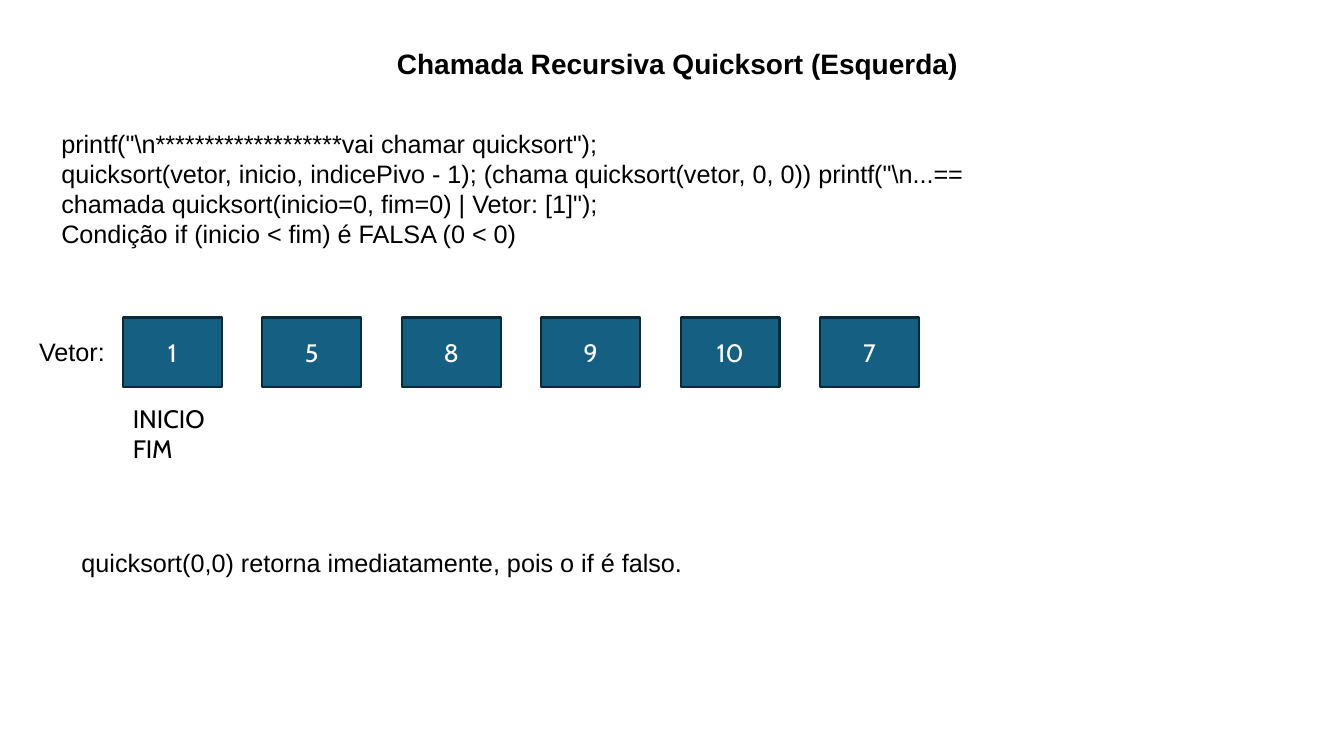
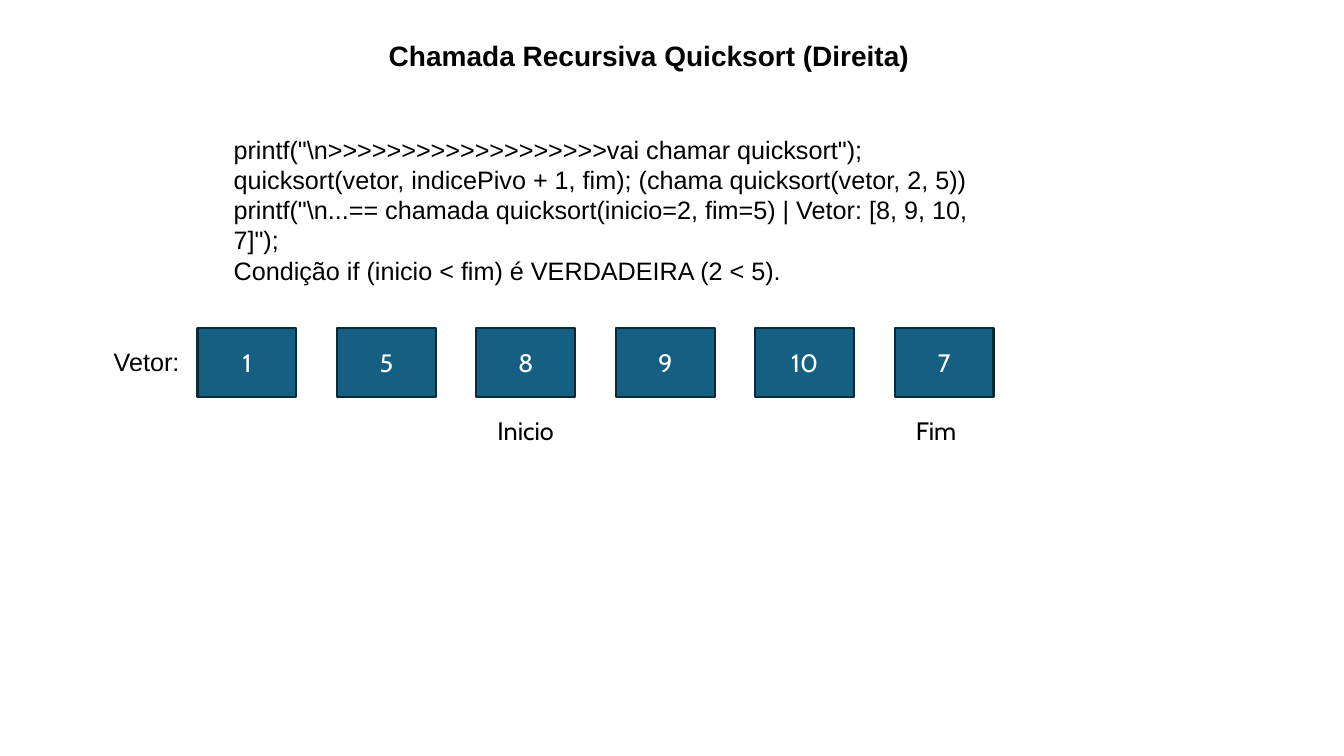
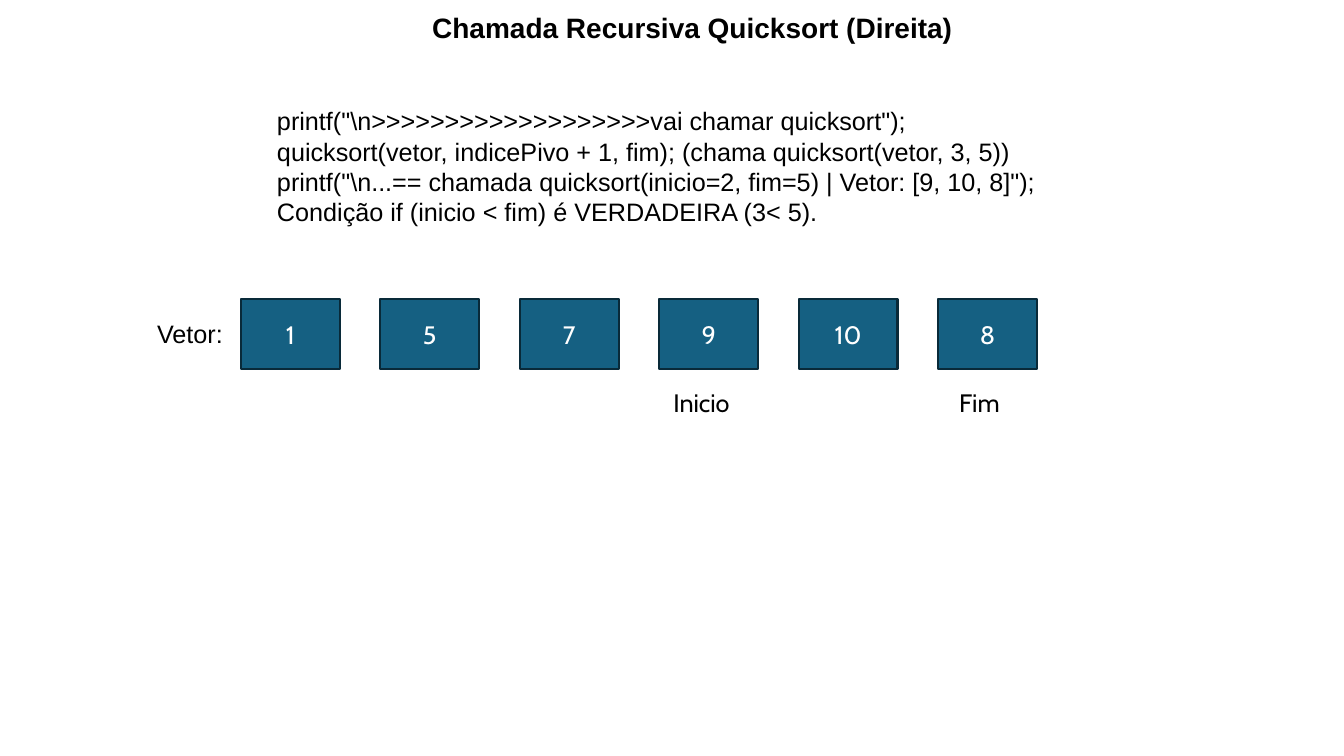
from dataclasses import dataclass

from pptx import Presentation
from pptx.dml.color import RGBColor
from pptx.enum.shapes import MSO_SHAPE
from pptx.enum.text import MSO_ANCHOR, MSO_AUTO_SIZE, PP_ALIGN
from pptx.slide import Slide
from pptx.text.text import TextFrame
from pptx.util import Pt

RECTANGLE = MSO_SHAPE.RECTANGLE
MIDDLE = MSO_ANCHOR.MIDDLE
GROW = MSO_AUTO_SIZE.SHAPE_TO_FIT_TEXT
LEFT = PP_ALIGN.LEFT
CENTER = PP_ALIGN.CENTER


@dataclass(frozen=True)
class Theme:
    ink: RGBColor = RGBColor(0x00, 0x00, 0x00)
    cell_fill: RGBColor = RGBColor(0x15, 0x60, 0x82)
    cell_line: RGBColor = RGBColor(0x09, 0x2A, 0x39)
    cell_ink: RGBColor = RGBColor(0xFF, 0xFF, 0xFF)
    prose_font: str = "Arial"
    array_font: str = "Cabin"
    title_size: float = 20
    body_size: float = 18
    line_width: float = 1.5


THEME = Theme()
CELL_WIDTH, CELL_HEIGHT, CELL_PITCH = 70.6, 49.7, 99.6
LABEL_SHIFT, LABEL_DROP, LABEL_WIDTH = -67, 10, 758
TITLE_HEIGHT, LINE_HEIGHT, BOX_PADDING = 31.5, 21.8, 7.2


@dataclass(frozen=True)
class TextStyle:
    font: str = THEME.prose_font
    size: float = THEME.body_size
    color: RGBColor = THEME.ink
    bold: bool = False
    align: PP_ALIGN = LEFT


TITLE = TextStyle(size=THEME.title_size, bold=True, align=CENTER)
PROSE = TextStyle()
MARKER = TextStyle(font=THEME.array_font)
CELL = TextStyle(font=THEME.array_font, color=THEME.cell_ink, align=CENTER)


@dataclass(frozen=True)
class Block:
    left: float
    top: float
    width: float
    height: float
    lines: tuple[str, ...]


@dataclass(frozen=True)
class Marker:
    cell: int
    width: float
    lines: tuple[str, ...]
    inset: float = 8
    drop: float = 59


@dataclass(frozen=True)
class Vector:
    left: float
    top: float
    values: tuple[int, ...]
    markers: tuple[Marker, ...]


@dataclass(frozen=True)
class CallStep:
    title: Block
    prose: tuple[Block, ...]
    vector: Vector


def text_height(line_count: int) -> float:
    return line_count * LINE_HEIGHT + BOX_PADDING


STEPS = (
    CallStep(
        title=Block(211, 29.5, 545.8, TITLE_HEIGHT, ("Chamada Recursiva Quicksort (Esquerda)",)),
        prose=(
            Block(36.7, 87.8, 720, text_height(5), (
                r'printf("\n*******************vai chamar quicksort");',
                r'quicksort(vetor, inicio, indicePivo - 1); (chama quicksort(vetor, 0, 0)) '
                r'printf("\n...== chamada quicksort(inicio=0, fim=0) | Vetor: [1]");',
                "Condição if (inicio < fim) é FALSA (0 < 0)",
            )),
            Block(51.1, 387.4, 602, text_height(1), (
                "quicksort(0,0) retorna imediatamente, pois o if é falso.",
            )),
        ),
        vector=Vector(87.8, 226.8, (1, 5, 8, 9, 10, 7), (
            Marker(0, 111, ("INICIO", "FIM"), inset=0, drop=57.6),
        )),
    ),
    CallStep(
        title=Block(209.5, 23.8, 508.3, TITLE_HEIGHT, ("Chamada Recursiva Quicksort (Direita)",)),
        prose=(
            Block(159.8, 92.2, 551.5, text_height(6), (
                r'printf("\n>>>>>>>>>>>>>>>>>>>vai chamar quicksort");',
                "quicksort(vetor, indicePivo + 1, fim); (chama quicksort(vetor, 2, 5))",
                r'printf("\n...== chamada quicksort(inicio=2, fim=5) | Vetor: [8, 9, 10, 7]");',
                "Condição if (inicio < fim) é VERDADEIRA (2 < 5).",
            )),
        ),
        vector=Vector(141.1, 234, (1, 5, 8, 9, 10, 7), (
            Marker(2, 77, ("Inicio",)),
            Marker(5, 54.7, ("Fim",)),
        )),
    ),
    CallStep(
        title=Block(240.5, 3.6, 508.3, TITLE_HEIGHT, ("Chamada Recursiva Quicksort (Direita)",)),
        prose=(
            Block(190.8, 72, 564.5, text_height(5), (
                r'printf("\n>>>>>>>>>>>>>>>>>>>vai chamar quicksort");',
                "quicksort(vetor, indicePivo + 1, fim); (chama quicksort(vetor, 3, 5))",
                r'printf("\n...== chamada quicksort(inicio=2, fim=5) | Vetor: [9, 10, 8]");',
                "Condição if (inicio < fim) é VERDADEIRA (3< 5).",
            )),
        ),
        vector=Vector(172.1, 213.8, (1, 5, 7, 9, 10, 8), (
            Marker(3, 77, ("Inicio",), inset=3),
            Marker(5, 54.7, ("Fim",)),
        )),
    ),
)


def write_lines(frame: TextFrame, lines: tuple[str, ...], style: TextStyle) -> None:
    for index, line in enumerate(lines):
        paragraph = frame.add_paragraph() if index else frame.paragraphs[0]
        paragraph.alignment = style.align
        run = paragraph.add_run()
        run.text = line
        run.font.name = style.font
        run.font.size = Pt(style.size)
        run.font.bold = style.bold
        run.font.color.rgb = style.color


def draw_block(slide: Slide, block: Block, style: TextStyle) -> None:
    frame = slide.shapes.add_textbox(
        Pt(block.left), Pt(block.top), Pt(block.width), Pt(block.height)
    ).text_frame
    frame.word_wrap = True
    frame.auto_size = GROW
    write_lines(frame, block.lines, style)


def draw_cell(slide: Slide, left: float, top: float, value: int) -> None:
    cell = slide.shapes.add_shape(
        RECTANGLE, Pt(left), Pt(top), Pt(CELL_WIDTH), Pt(CELL_HEIGHT)
    )
    cell.shadow.inherit = False
    cell.fill.solid()
    cell.fill.fore_color.rgb = THEME.cell_fill
    cell.line.color.rgb = THEME.cell_line
    cell.line.width = Pt(THEME.line_width)
    cell.text_frame.vertical_anchor = MIDDLE
    write_lines(cell.text_frame, (str(value),), CELL)


def draw_vector(slide: Slide, vector: Vector) -> None:
    label = Block(vector.left + LABEL_SHIFT, vector.top + LABEL_DROP,
                  LABEL_WIDTH, text_height(1), ("Vetor:",))
    draw_block(slide, label, PROSE)
    for index, value in enumerate(vector.values):
        draw_cell(slide, vector.left + index * CELL_PITCH, vector.top, value)
    for marker in vector.markers:
        left = vector.left + marker.cell * CELL_PITCH + marker.inset
        caption = Block(left, vector.top + marker.drop, marker.width,
                        text_height(len(marker.lines)), marker.lines)
        draw_block(slide, caption, MARKER)


def main() -> None:
    deck = Presentation()
    deck.slide_width, deck.slide_height = Pt(960), Pt(540)
    blank = deck.slide_layouts[6]
    for step in STEPS:
        slide = deck.slides.add_slide(blank)
        draw_block(slide, step.title, TITLE)
        for block in step.prose:
            draw_block(slide, block, PROSE)
        draw_vector(slide, step.vector)
    deck.save("out.pptx")


if __name__ == "__main__":
    main()
